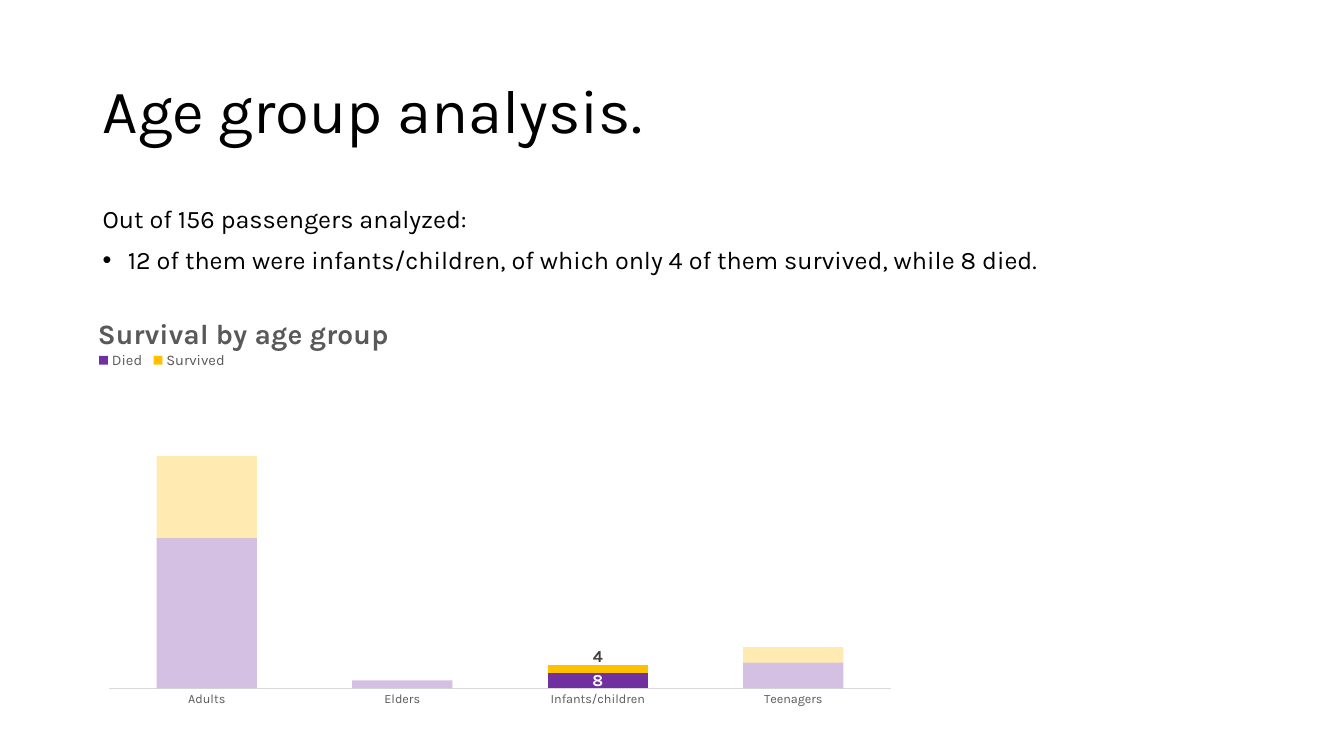
"""Build the age group analysis slide with its stacked survival chart."""
from pptx import Presentation
from pptx.chart.data import CategoryChartData
from pptx.dml.color import RGBColor
from pptx.enum.chart import XL_CHART_TYPE as Kind, XL_LEGEND_POSITION as Side
from pptx.enum.chart import XL_TICK_LABEL_POSITION as Label, XL_TICK_MARK as Tick
from pptx.enum.text import MSO_ANCHOR as Anchor
from pptx.oxml import parse_xml
from pptx.oxml.ns import nsdecls
from pptx.util import Inches, Pt

theme = {
    "face": "Karla",
    "ink": "000000", "gray": "595959", "dark": "404040", "rule": "D9D9D9",
    "white": "FFFFFF", "died": "7030A0", "lived": "FFC000",
    "head": 44, "body": 18, "title": 20, "legend": 10.5, "axis": 9, "label": 12,
}


def style(font, size, color, bold=False):
    font.name = theme["face"]
    font.size = Pt(theme[size])
    font.bold = bold
    font.color.rgb = RGBColor.from_string(theme[color])


def place(node, index, **spots):
    for old in node.xpath("./c:layout"):
        node.remove(old)
    parts = "".join(f'<c:{tag} val="{val}"/>' for tag, val in spots.items())
    node.insert(index, parse_xml(
        f'<c:layout {nsdecls("c")}><c:manualLayout>{parts}</c:manualLayout></c:layout>'))


deck = Presentation()
deck.slide_width, deck.slide_height = Inches(13.33), Inches(7.5)
slide = deck.slides.add_slide(deck.slide_layouts[6])

blocks = [
    (0.4, 1.45, "head", Anchor.MIDDLE, 0, "Age group analysis."),
    (2, 1, "body", Anchor.TOP, 10,
     "Out of 156 passengers analyzed:\n"
     "12 of them were infants/children, of which only 4 of them survived, while 8 died."),
]
for top, high, size, anchor, gap, words in blocks:
    box = slide.shapes.add_textbox(Inches(0.92), Inches(top), Inches(11.5), Inches(high))
    frame = box.text_frame
    frame.word_wrap = True
    frame.vertical_anchor = anchor
    frame.text = words
    for para in frame.paragraphs:
        para.line_spacing = 0.9
        para.space_before = Pt(gap)
        style(para.runs[0].font, size, "ink")

props = para._p.get_or_add_pPr()
props.set("marL", str(Inches(0.25)))
props.set("indent", str(-Inches(0.25)))
props.append(parse_xml(f'<a:buFont {nsdecls("a")} typeface="Arial"/>'))
props.append(parse_xml(f'<a:buChar {nsdecls("a")} char="•"/>'))

data = CategoryChartData()
data.categories = ["Adults", "Elders", "Infants/children", "Teenagers"]
data.add_series("Died", [77, 4, 8, 13])
data.add_series("Survived", [42, None, 4, 8])
chart = slide.shapes.add_chart(
    Kind.COLUMN_STACKED, Inches(0.92), Inches(3.07), Inches(8.08), Inches(4.04), data).chart
style(chart.font, "axis", "gray")

chart.has_title = True
title = chart.chart_title
title.text_frame.text = "Survival by age group"
style(title.text_frame.paragraphs[0].runs[0].font, "title", "gray", True)
title.include_in_layout = False

chart.has_legend = True
chart.legend.position = Side.TOP
chart.legend.include_in_layout = False
style(chart.legend.font, "legend", "gray")

value = chart.value_axis
value.visible = False
value.has_major_gridlines = False
value.minimum_scale, value.maximum_scale = 0, 140
axis = chart.category_axis
axis.major_tick_mark = axis.minor_tick_mark = Tick.NONE
axis.tick_label_position = Label.NEXT_TO_AXIS
style(axis.tick_labels.font, "axis", "gray")
axis.format.line.color.rgb = RGBColor.from_string(theme["rule"])
axis.format.line.width = Pt(0.75)

plot = chart.plots[0]
plot.gap_width, plot.overlap, plot.vary_by_categories = 95, 100, False
focus = 2
for series, color, ink in zip(plot.series, ("died", "lived"), ("white", "dark")):
    series.invert_if_negative = False
    tone = RGBColor.from_string(theme[color])
    series.format.fill.solid()
    series.format.fill.fore_color.rgb = tone
    for spot, count in enumerate(series.values):
        if spot != focus and count is not None:
            fill = series.points[spot].format.fill
            fill.solid()
            fill.fore_color.rgb = tone
    style(series.points[focus].data_label.font, "label", ink, True)

root = chart.element
for shade in root.xpath(".//c:dPt//a:srgbClr"):
    shade.append(parse_xml(f'<a:alpha {nsdecls("a")} val="30000"/>'))

edge = {"xMode": "edge", "yMode": "edge"}
place(root.xpath(".//c:title")[0], 1, **edge, x=0, y=0)
place(root.xpath(".//c:legend")[0], 1, **edge, x=0, y=0.1, w=0.17, h=0.05)
place(root.xpath(".//c:plotArea")[0], 0, layoutTarget="inner", **edge,
      x=0.02, y=0.26, w=0.96, h=0.67)
place(root.xpath(".//c:dLbl")[1], 1, x=0, y=-0.03)

deck.save("out.pptx")
